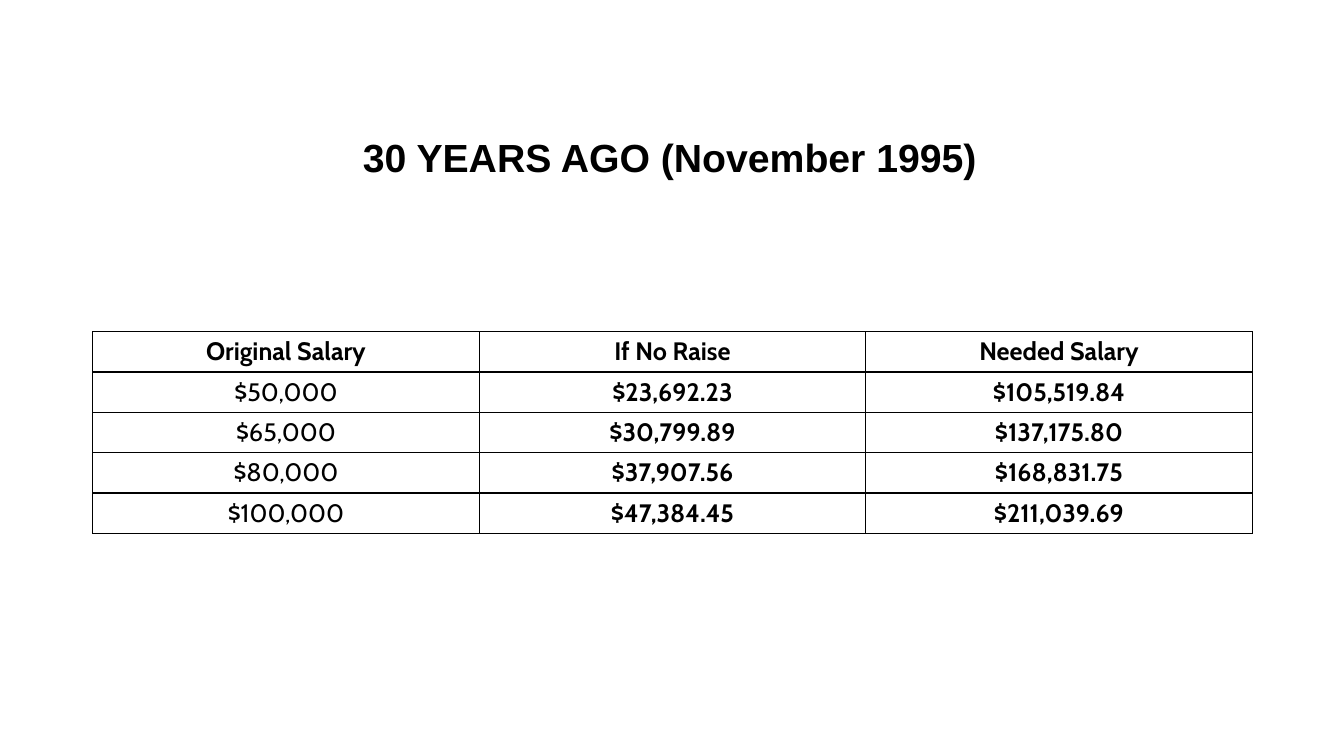
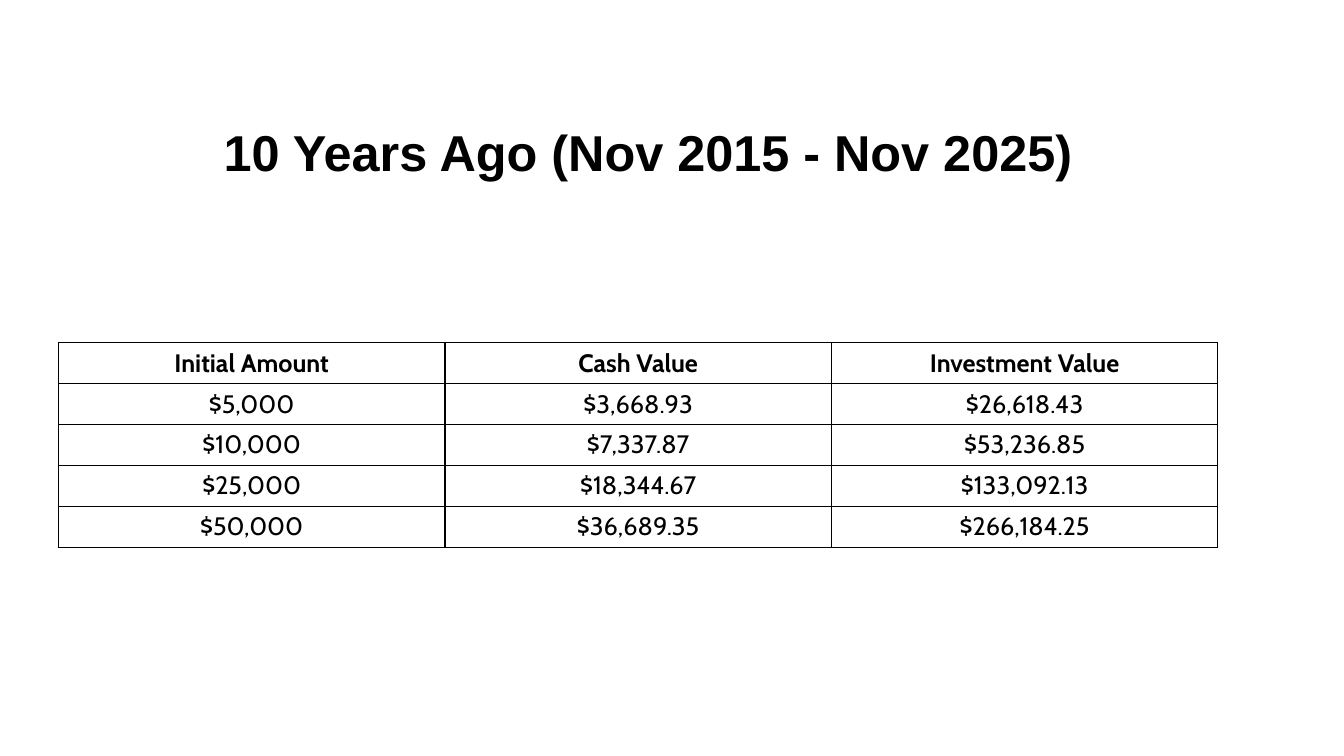
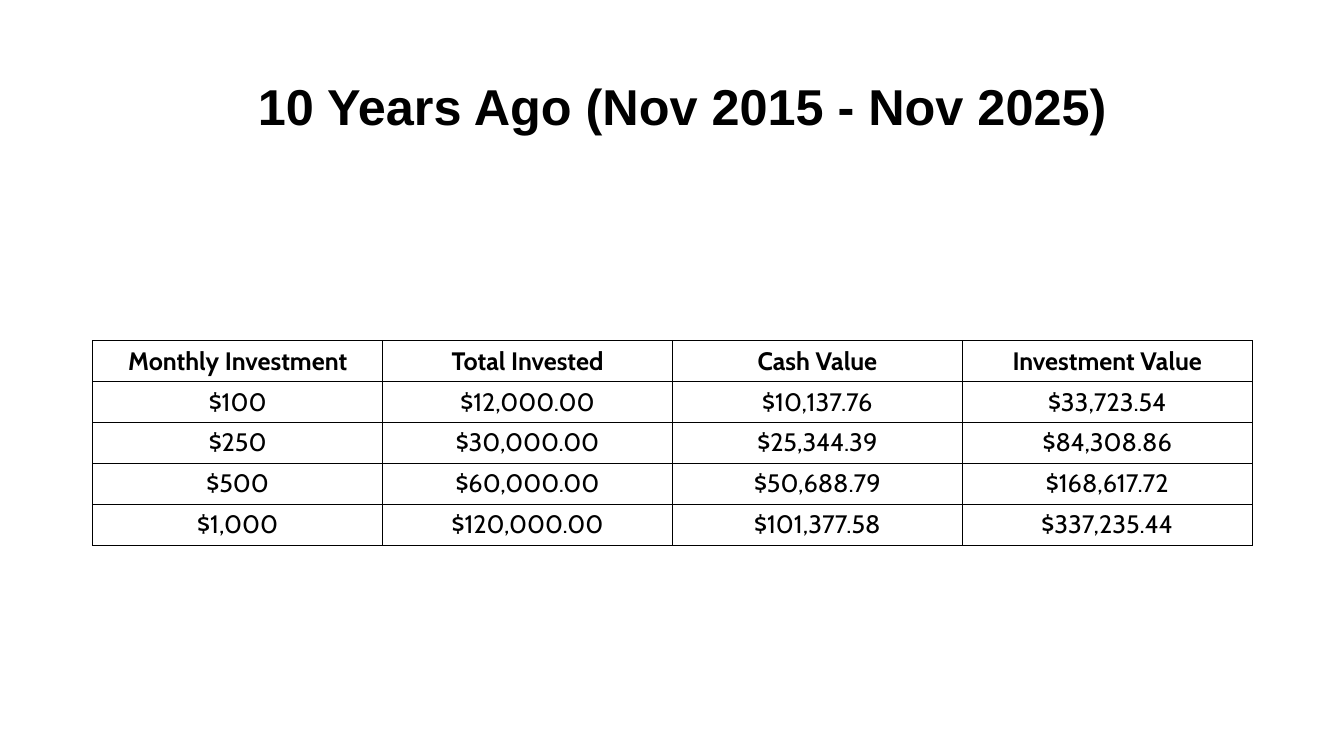
import pptx
import pptx.dml.color
import pptx.enum.text
import pptx.oxml.ns
import pptx.util
from lxml import etree

Inches, Pt = pptx.util.Inches, pptx.util.Pt

COLORS = {"text": "000000", "border": "000000", "background": "FFFFFF"}
HEADER_STYLE = {"name": "Cabin", "size": Pt(18), "bold": True}
VALUE_STYLE = {**HEADER_STYLE, "bold": False}
TITLE_STYLE = {"name": "Arial", "bold": True}
TABLE_WIDTH = 11.5
BORDER_POINTS = 1

# Boxes are (left, top, width, height) and table origins (left, top), in inches.
SLIDES = [
    {
        "title": "30 YEARS AGO (November 1995)",
        "title_size": 28,
        "title_box": (3.5, 1.27, 6.36, 0.57),
        "table_origin": (0.92, 3.29),
        "table_height": 2,
        "bold_columns": (1, 2),
        "rows": [
            ("Original Salary", "If No Raise", "Needed Salary"),
            ("$50,000", "$23,692.23", "$105,519.84"),
            ("$65,000", "$30,799.89", "$137,175.80"),
            ("$80,000", "$37,907.56", "$168,831.75"),
            ("$100,000", "$47,384.45", "$211,039.69"),
        ],
    },
    {
        "title": "10 Years Ago (Nov 2015 - Nov 2025)",
        "title_size": 36,
        "title_box": (2.12, 1.17, 8.7, 0.67),
        "table_origin": (0.58, 3.4),
        "table_height": 2.03,
        "bold_columns": (),
        "rows": [
            ("Initial Amount", "Cash Value", "Investment Value"),
            ("$5,000", "$3,668.93", "$26,618.43"),
            ("$10,000", "$7,337.87", "$53,236.85"),
            ("$25,000", "$18,344.67", "$133,092.13"),
            ("$50,000", "$36,689.35", "$266,184.25"),
        ],
    },
    {
        "title": "10 Years Ago (Nov 2015 - Nov 2025)",
        "title_size": 36,
        "title_box": (2.46, 0.71, 8.7, 0.67),
        "table_origin": (0.92, 3.38),
        "table_height": 2.03,
        "bold_columns": (),
        "rows": [
            ("Monthly Investment", "Total Invested", "Cash Value", "Investment Value"),
            ("$100", "$12,000.00", "$10,137.76", "$33,723.54"),
            ("$250", "$30,000.00", "$25,344.39", "$84,308.86"),
            ("$500", "$60,000.00", "$50,688.79", "$168,617.72"),
            ("$1,000", "$120,000.00", "$101,377.58", "$337,235.44"),
        ],
    },
]


def rgb(name):
    return pptx.dml.color.RGBColor.from_string(COLORS[name])


def set_attributes(target, values):
    for name, value in values.items():
        setattr(target, name, value)


def write_text(text_frame, text, style):
    paragraph = text_frame.paragraphs[0]
    run = paragraph.add_run()
    run.text = text
    set_attributes(run.font, style)
    run.font.color.rgb = rgb("text")
    return paragraph


def add_title(slide, content):
    box = slide.shapes.add_textbox(*map(Inches, content["title_box"]))
    set_attributes(box.text_frame, {
        "word_wrap": False,
        "vertical_anchor": pptx.enum.text.MSO_ANCHOR.MIDDLE,
    })
    style = {**TITLE_STYLE, "size": Pt(content["title_size"])}
    write_text(box.text_frame, content["title"], style)


def add_borders(cell):
    qn = pptx.oxml.ns.qn
    properties = cell._tc.get_or_add_tcPr()
    for side in ("a:lnL", "a:lnR", "a:lnT", "a:lnB"):
        line = etree.SubElement(properties, qn(side), w=str(Pt(BORDER_POINTS)))
        fill = etree.SubElement(line, qn("a:solidFill"))
        etree.SubElement(fill, qn("a:srgbClr"), val=COLORS["border"])


def add_value_table(slide, content):
    rows = content["rows"]
    left, top = content["table_origin"]
    height = content["table_height"]
    table = slide.shapes.add_table(
        len(rows), len(rows[0]),
        Inches(left), Inches(top), Inches(TABLE_WIDTH), Inches(height),
    ).table
    set_attributes(table, {"first_row": False, "horz_banding": False})
    for row in table.rows:
        row.height = Inches(height / len(rows))
    for row_index, values in enumerate(rows):
        for column_index, value in enumerate(values):
            cell = table.cell(row_index, column_index)
            set_attributes(cell, {
                "margin_top": 0,
                "margin_bottom": 0,
                "vertical_anchor": pptx.enum.text.MSO_ANCHOR.MIDDLE,
            })
            add_borders(cell)
            cell.fill.background()
            is_bold = row_index == 0 or column_index in content["bold_columns"]
            style = HEADER_STYLE if is_bold else VALUE_STYLE
            paragraph = write_text(cell.text_frame, value, style)
            paragraph.alignment = pptx.enum.text.PP_ALIGN.CENTER


def main():
    presentation = pptx.Presentation()
    presentation.slide_width = Inches(13.33)
    presentation.slide_height = Inches(7.5)
    background = presentation.slide_master.background.fill
    background.solid()
    background.fore_color.rgb = rgb("background")
    for content in SLIDES:
        slide = presentation.slides.add_slide(presentation.slide_layouts[6])
        add_title(slide, content)
        add_value_table(slide, content)
    presentation.save("out.pptx")


if __name__ == "__main__":
    main()
